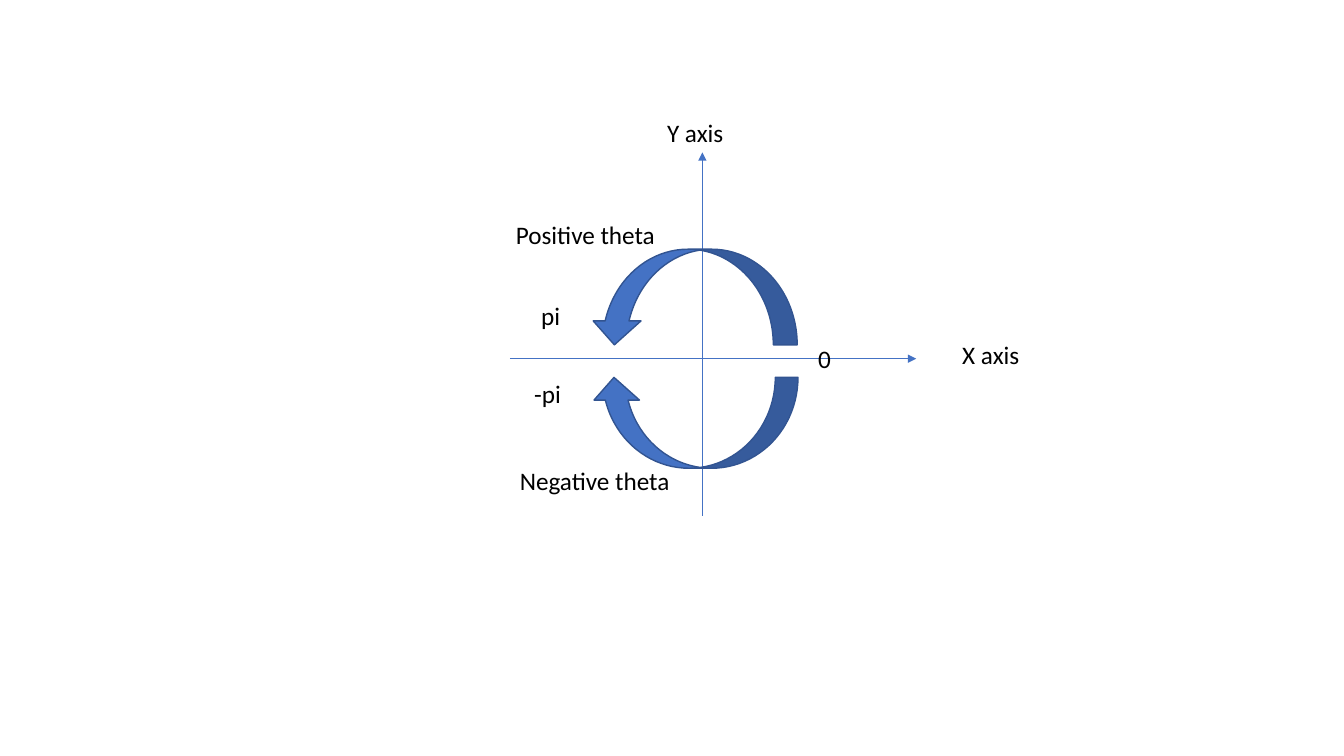
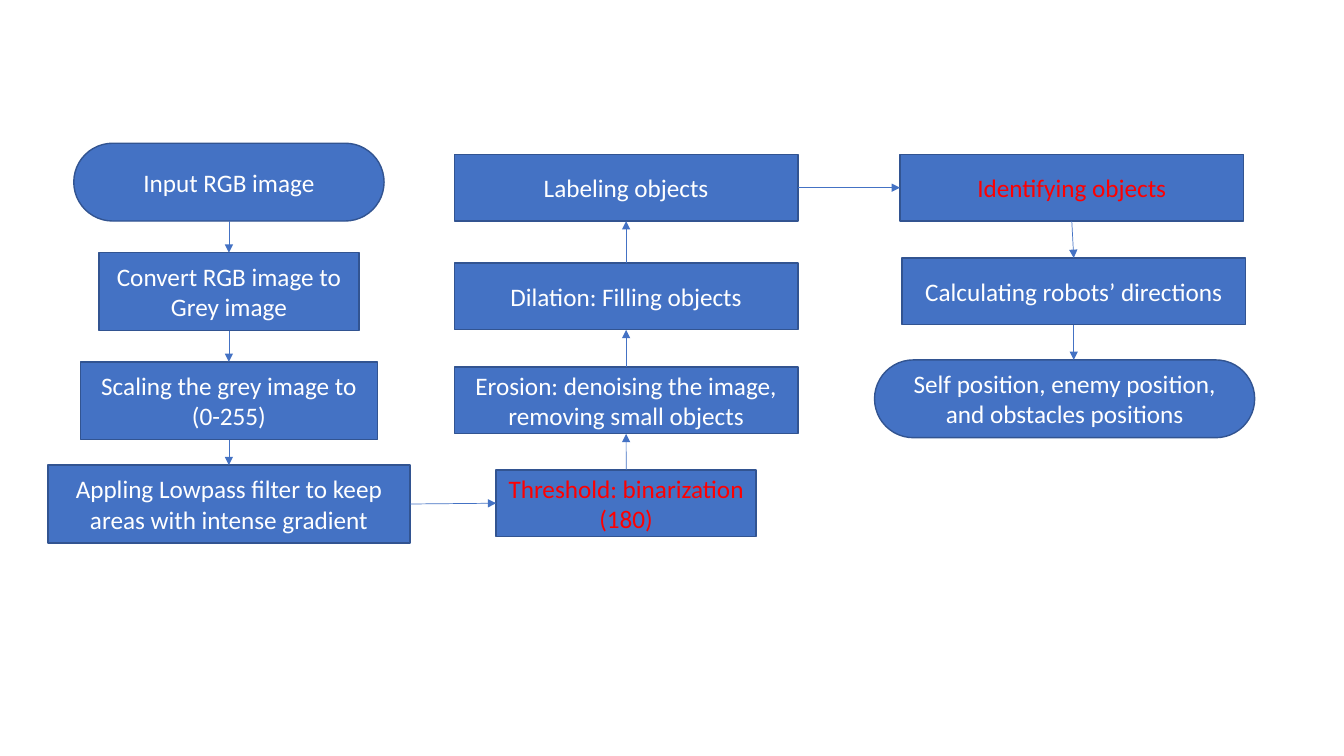
from itertools import pairwise
from lxml import etree
from pptx import Presentation
from pptx.dml.color import RGBColor
from pptx.enum.shapes import MSO_CONNECTOR as LINE, MSO_SHAPE as SHAPE
from pptx.enum.text import MSO_ANCHOR as ANCHOR, MSO_AUTO_SIZE as FIT, PP_ALIGN as ALIGN
from pptx.oxml.ns import qn
from pptx.util import Cm, Pt

# Shared look
BLUE, DARK_BLUE = "4472C4", "325491"
BLACK, WHITE, RED = "000000", "FFFFFF", "FF0000"
FONT, TEXT_SIZE = "Calibri", Pt(18)
rgb = RGBColor.from_string

deck = Presentation()
deck.slide_width, deck.slide_height = Cm(33.87), Cm(19.05)
blank = deck.slide_layouts[6]


def add_arrow(page, x1, y1, x2, y2):
    arrow = page.shapes.add_connector(LINE.STRAIGHT, x1, y1, x2, y2)
    arrow.line.color.rgb = rgb(BLUE)
    arrow.line.width = Pt(0.5)
    etree.SubElement(arrow.line._get_or_add_ln(), qn("a:tailEnd"), type="triangle")
    etree.SubElement(arrow._element.spPr, qn("a:effectLst"))
    return arrow


def add_shape(page, kind, left, top, width, height, text="", color=WHITE):
    shape = page.shapes.add_shape(kind, Cm(left), Cm(top), Cm(width), Cm(height))
    shape.shadow.inherit = False
    shape.fill.solid()
    shape.fill.fore_color.rgb = rgb(BLUE)
    shape.line.color.rgb = rgb(DARK_BLUE)
    shape.line.width = Pt(1)
    if text:
        frame = shape.text_frame
        frame.text = text
        frame.word_wrap = True
        frame.vertical_anchor = ANCHOR.MIDDLE
        para = frame.paragraphs[0]
        para.alignment = ALIGN.CENTER
        font = para.runs[0].font
        font.name, font.size, font.color.rgb = FONT, TEXT_SIZE, rgb(color)
    return shape


# Slide 1: sign of the angle theta
page = deck.slides.add_slide(blank)

# Axes
add_arrow(page, Cm(12.85), Cm(9.04), Cm(23.09), Cm(9.04))
add_arrow(page, Cm(17.7), Cm(13), Cm(17.7), Cm(3.84))

# Half turns above and below the x axis
for kind, left, top, width in [
    (SHAPE.CURVED_RIGHT_ARROW, 16.28, 4.88, 2.41),
    (SHAPE.CURVED_LEFT_ARROW, 16.36, 8.05, 2.29),
]:
    add_shape(page, kind, left, top, width, 5.21).rotation = 90

# Labels
for text, left, top, width in [
    ("X axis", 24, 8.43, 2.82),
    ("Y axis", 16.56, 2.82, 2.82),
    ("Positive theta", 12.75, 5.41, 6.12),
    ("Negative theta", 12.85, 11.61, 6.12),
    ("0", 20.37, 8.53, 0.99),
    ("-pi", 13.21, 9.4, 1.57),
    ("pi", 13.39, 7.44, 1.57),
]:
    label = page.shapes.add_textbox(Cm(left), Cm(top), Cm(width), Cm(1.02))
    label.text_frame.word_wrap = True
    label.text_frame.auto_size = FIT.SHAPE_TO_FIT_TEXT
    label.text_frame.text = text
    font = label.text_frame.paragraphs[0].runs[0].font
    font.name, font.size, font.color.rgb = FONT, TEXT_SIZE, rgb(BLACK)

# Slide 2: image processing flow
page = deck.slides.add_slide(blank)
TALL, LOW = 1.96, 1.68
PILL, RECT = SHAPE.ROUNDED_RECTANGLE, SHAPE.RECTANGLE

# Steps in order: column, kind, centre, top, width, height, text, colour
steps = [
    (0, PILL, 5.77, 3.61, 7.82, TALL, "Input RGB image", WHITE),
    (0, RECT, 5.77, 6.37, 6.55, TALL, "Convert RGB image to Grey image", WHITE),
    (0, RECT, 5.77, 9.12, 7.49, TALL, "Scaling the grey image to (0-255)", WHITE),
    (0, RECT, 5.77, 11.72, 9.12, TALL,
     "Appling Lowpass filter to keep areas with intense gradient", WHITE),
    (1, RECT, 15.78, 11.84, 6.55, LOW, "Threshold: binarization (180)", RED),
    (1, RECT, 15.78, 9.25, 8.66, LOW,
     "Erosion: denoising the image, removing small objects", WHITE),
    (1, RECT, 15.78, 6.63, 8.66, LOW, "Dilation: Filling objects", WHITE),
    (1, RECT, 15.78, 3.89, 8.66, LOW, "Labeling objects", WHITE),
    (2, RECT, 27.01, 3.89, 8.66, LOW, "Identifying objects", RED),
    (2, RECT, 27.06, 6.5, 8.66, LOW, "Calculating robots’ directions", WHITE),
    (2, PILL, 26.83, 9.07, 9.58, TALL,
     "Self position, enemy position, and obstacles positions", WHITE),
]
boxes = []
for column, kind, centre, top, width, height, text, color in steps:
    box = add_shape(page, kind, centre - width / 2, top, width, height, text, color)
    if kind == PILL:
        box.adjustments[0] = 0.5
    boxes.append((column, box))

# Arrows run down, up, down the columns and rightwards between them
COLUMN_SITES = [(2, 0), (0, 2), (2, 0)]
for (column, box), (next_column, next_box) in pairwise(boxes[:-1]):
    start, end = COLUMN_SITES[column] if column == next_column else (3, 1)
    arrow = add_arrow(page, 0, 0, 0, 0)
    arrow.begin_connect(box, start)
    arrow.end_connect(next_box, end)

# The last arrow drops straight down, beside the middle of the result box
directions, result = boxes[-2][1], boxes[-1][1]
middle = directions.left + directions.width // 2
arrow = add_arrow(page, middle, directions.top + directions.height, middle, result.top)
arrow.begin_connect(directions, 2)

deck.save("out.pptx")
